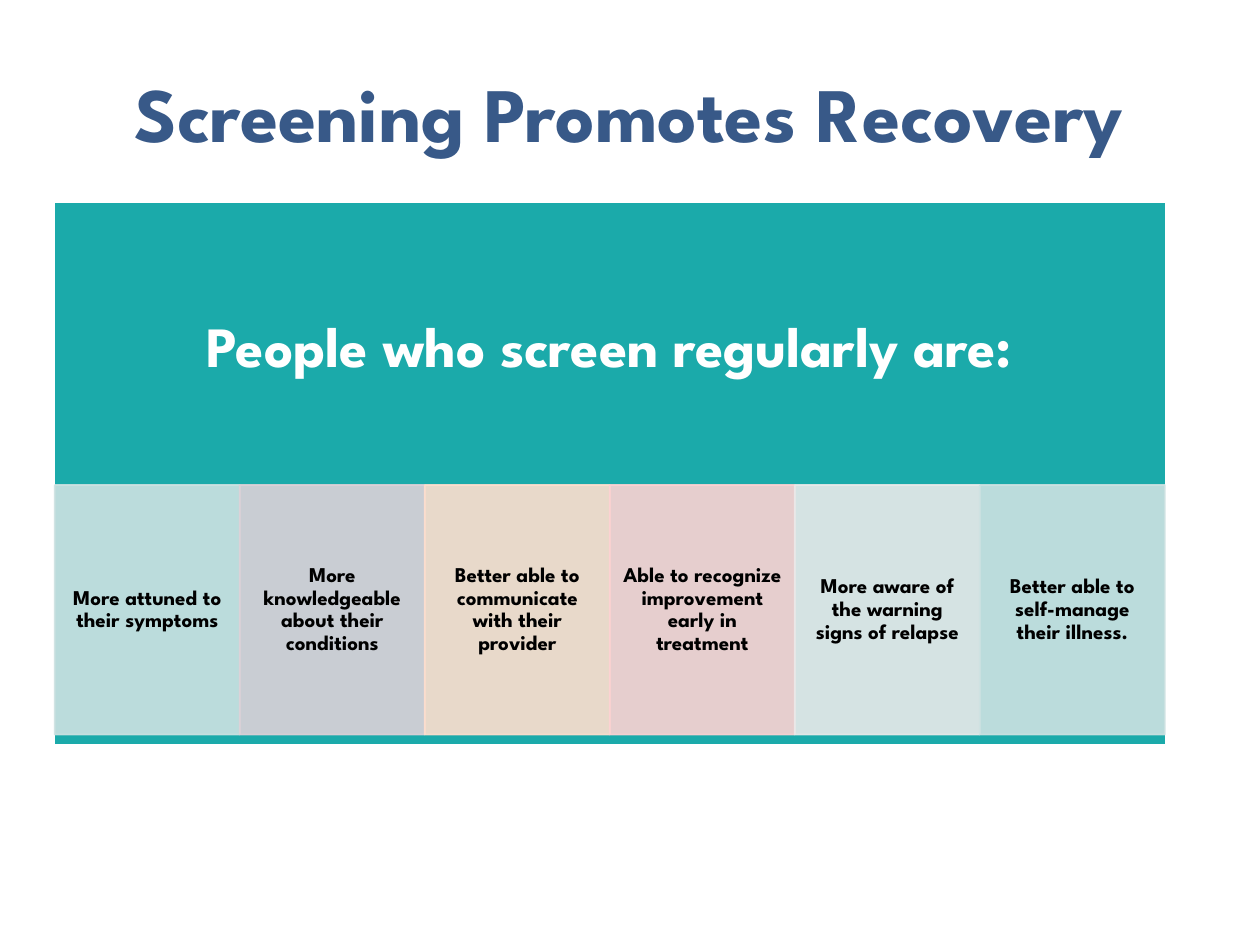
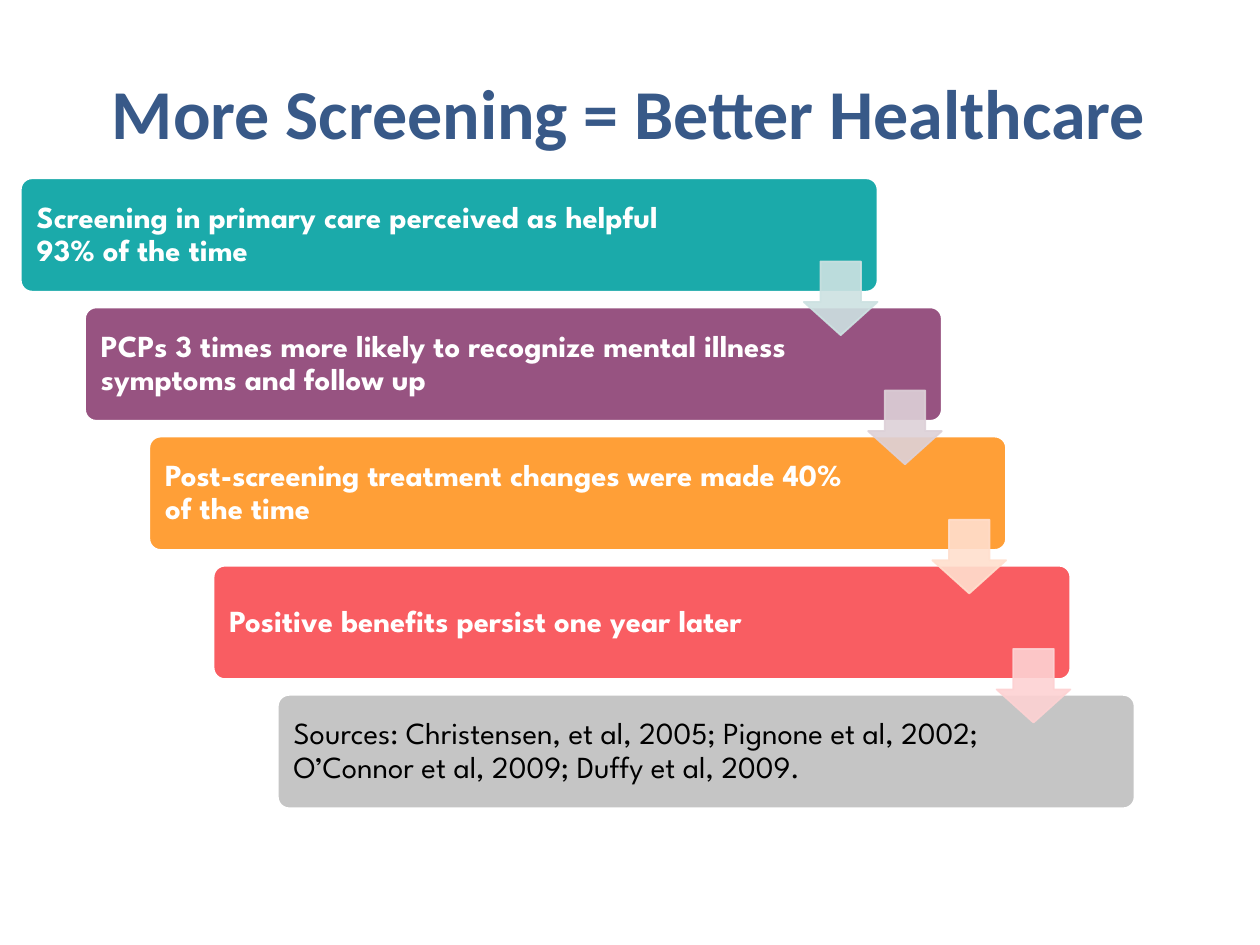
from dataclasses import dataclass
from lxml.etree import SubElement
from pptx import Presentation
from pptx.dml.color import RGBColor
from pptx.enum.shapes import MSO_SHAPE
from pptx.enum.text import MSO_ANCHOR, PP_ALIGN
from pptx.oxml.ns import qn
from pptx.util import Inches, Pt


@dataclass(frozen=True)
class Theme:
    """Colours, fonts and type sizes of the deck."""
    navy: str = "385988"
    teal: str = "1BAAAA"
    plum: str = "975381"
    amber: str = "FF9F37"
    coral: str = "F95D62"
    grey: str = "C5C5C5"
    white: str = "FFFFFF"
    black: str = "000000"
    mint: str = "CDE2E2"
    mauve: str = "DDD1D8"
    peach: str = "FFDFCE"
    rose: str = "FDD2D3"
    mist: str = "EAEAEA"
    face: str = "League Spartan"
    plain: str = "Calibri"
    title: int = 88
    formal: int = 80
    banner: int = 65
    step: int = 35
    card: int = 24
    line: int = 2
    alpha: int = 90


class Deck:
    """Holds the theme and the current slide and draws on it."""

    def __init__(self, theme):
        """Open an empty deck."""
        self.theme = theme
        self.prs = Presentation()
        self.prs.slide_width, self.prs.slide_height = Inches(20), Inches(15)
        self.slide = None

    def page(self, text, size, face):
        """Add a slide with its title."""
        self.slide = self.prs.slides.add_slide(self.prs.slide_layouts[6])
        box = self.slide.shapes.add_textbox(*map(Inches, (0.83, 1.05, 18.31, 1.45)))
        self.label(box, text, size, self.theme.navy, face=face, space=1.0)

    def label(self, shape, text, size, color, face=None, bold=True,
              align=PP_ALIGN.CENTER, pad=(0.1, 0.05, 0.1, 0.05), space=0.9):
        """Fill a shape with one styled paragraph."""
        frame = shape.text_frame
        para = frame.paragraphs[0]
        para.text = text
        sides = ("margin_left", "margin_top", "margin_right", "margin_bottom")
        style = (
            (frame, {"word_wrap": True, "vertical_anchor": MSO_ANCHOR.MIDDLE,
                     **dict(zip(sides, map(Inches, pad)))}),
            (para, {"alignment": align, "line_spacing": space}),
            (para.font, {"name": face or self.theme.face, "size": Pt(size), "bold": bold}),
        )
        for target, values in style:
            for name, value in values.items():
                setattr(target, name, value)
        para.font.color.rgb = RGBColor.from_string(color)

    def block(self, kind, place, fill, line=None, adjust=(), alpha=None):
        """Add a filled and outlined preset shape."""
        shape = self.slide.shapes.add_shape(kind, *map(Inches, place))
        shape.shadow.inherit = False
        for index, value in enumerate(adjust):
            shape.adjustments[index] = value
        shape.fill.solid()
        shape.fill.fore_color.rgb = RGBColor.from_string(fill)
        shape.line.color.rgb = RGBColor.from_string(line or fill)
        shape.line.width = Pt(self.theme.line)
        if alpha:
            for color in shape.element.spPr.iter(qn("a:srgbClr")):
                SubElement(color, qn("a:alpha")).set("val", str(alpha * 1000))
        return shape

    def banner(self, text):
        """Add the large panel with its heading in the upper part."""
        t = self.theme
        panel = self.block(MSO_SHAPE.RECTANGLE, (0.86, 3.21, 17.64, 8.62), t.teal, t.white)
        self.label(panel, text, t.banner, t.white, pad=(0.51, 0.51, 0.51, 4.48))

    def card(self, index, count, text, fill):
        """Add one tinted card of the row."""
        t = self.theme
        width = 17.62 / count
        place = (0.87 + width * index, 7.7, width, 3.96)
        card = self.block(MSO_SHAPE.RECTANGLE, place, fill, alpha=t.alpha)
        self.label(card, text, t.card, t.black, pad=(0.19, 0.03, 0.19, 0.03))

    def step(self, index, text, fill, color, bold):
        """Add one bar of the staircase."""
        t = self.theme
        place = (0.33 + 1.02 * index, 2.83 + 2.05 * index, 13.6, 1.8)
        bar = self.block(MSO_SHAPE.ROUNDED_RECTANGLE, place, fill, t.white, (0.1,))
        self.label(bar, text, t.step, color, bold=bold, align=PP_ALIGN.LEFT,
                   pad=(0.2, 0.2, 2.38, 0.2))

    def arrow(self, index, fill):
        """Add the arrow that leads to the next bar."""
        place = (12.76 + 1.02 * index, 4.15 + 2.05 * index, 1.17, 1.17)
        self.block(MSO_SHAPE.DOWN_ARROW, place, fill, adjust=(0.55, 0.45),
                   alpha=self.theme.alpha)


def main():
    """Build both slides and save the deck."""
    t = Theme()
    deck = Deck(t)

    deck.page("Screening Promotes Recovery", t.title, t.face)
    deck.banner("People who screen regularly are:")
    cards = (
        ("More attuned to their symptoms", t.mint),
        ("More knowledgeable about their conditions", t.mauve),
        ("Better able to communicate with their provider", t.peach),
        ("Able to recognize improvement early in treatment", t.rose),
        ("More aware of the warning signs of relapse", t.mist),
        ("Better able to self-manage their illness.", t.mint),
    )
    for index, card in enumerate(cards):
        deck.card(index, len(cards), *card)

    deck.page("More Screening = Better Healthcare", t.formal, t.plain)
    steps = (
        ("Screening in primary care perceived as helpful 93% of the time",
         t.teal, t.white, True),
        ("PCPs 3 times more likely to recognize mental illness symptoms and follow up",
         t.plum, t.white, True),
        ("Post-screening treatment changes were made 40% of the time",
         t.amber, t.white, True),
        ("Positive benefits persist one year later", t.coral, t.white, True),
        ("Sources: Christensen, et al, 2005; Pignone et al, 2002; "
         "O’Connor et al, 2009; Duffy et al, 2009.", t.grey, t.black, False),
    )
    for index, step in enumerate(steps):
        deck.step(index, *step)
    for index, fill in enumerate((t.mint, t.mauve, t.peach, t.rose)):
        deck.arrow(index, fill)

    deck.prs.save("out.pptx")


if __name__ == "__main__":
    main()
